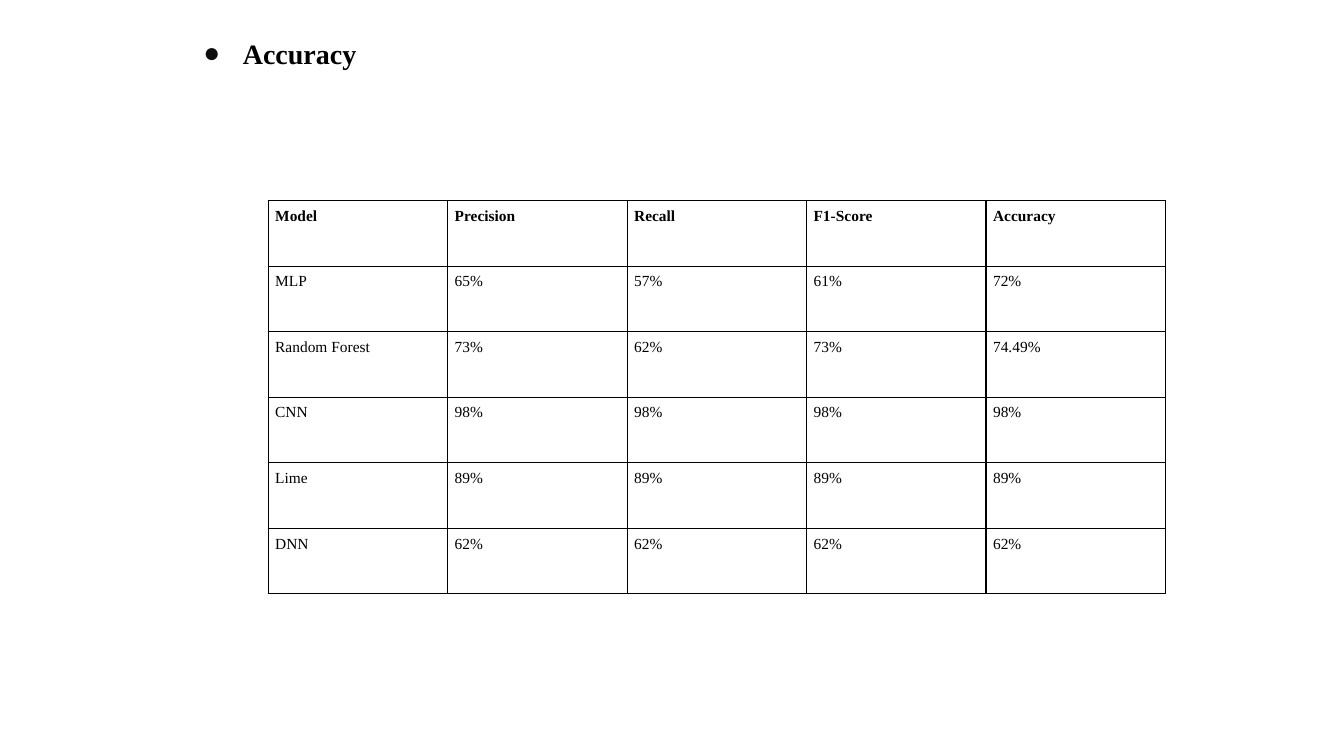
import pptx
import pptx.dml.color
import pptx.enum.text
import pptx.oxml
import pptx.oxml.ns
import pptx.util
from pptx.util import Inches

BLACK = pptx.dml.color.RGBColor(0x00, 0x00, 0x00)
BULLET = pptx.dml.color.RGBColor(0x0D, 0x0D, 0x0D)
FONT = "Times New Roman"
NAMESPACE = pptx.oxml.ns.nsdecls("a")

RESULTS = [
    ["Model", "Precision", "Recall", "F1-Score", "Accuracy"],
    ["MLP", "65%", "57%", "61%", "72%"],
    ["Random Forest", "73%", "62%", "73%", "74.49%"],
    ["CNN", "98%", "98%", "98%", "98%"],
    ["Lime", "89%", "89%", "89%", "89%"],
    ["DNN", "62%", "62%", "62%", "62%"],
]
COLUMN_WIDTH = Inches(1.78)
ROW_HEIGHT = Inches(0.65)


def add_text(para, text, size, bold):
    span = para.add_run()
    span.text = text
    span.font.name = FONT
    span.font.size = pptx.util.Pt(size)
    span.font.bold = bold
    span.font.color.rgb = BLACK


def set_margins(holder, margin):
    holder.margin_left = holder.margin_right = margin
    holder.margin_top = holder.margin_bottom = margin


deck = pptx.Presentation()
deck.slide_width = Inches(13.33)
deck.slide_height = Inches(7.5)
page = deck.slides.add_slide(deck.slide_layouts[6])

heading = page.shapes.add_textbox(Inches(1.81), Inches(0.21), Inches(5.17), Inches(0.54))
frame = heading.text_frame
frame.word_wrap = True
frame.auto_size = pptx.enum.text.MSO_AUTO_SIZE.SHAPE_TO_FIT_TEXT
set_margins(frame, Inches(0.1))
para = frame.paragraphs[0]
para.line_spacing = 1.15
properties = para._p.get_or_add_pPr()
properties.set("marL", str(Inches(0.5)))
properties.set("indent", str(Inches(-0.39)))
for markup in (
    f'<a:buClr {NAMESPACE}><a:srgbClr val="{BULLET}"/></a:buClr>',
    f'<a:buFont {NAMESPACE} typeface="{FONT}"/>',
    f'<a:buChar {NAMESPACE} char="●"/>',
):
    properties.append(pptx.oxml.parse_xml(markup))
add_text(para, "Accuracy", 20, True)

table = page.shapes.add_table(
    len(RESULTS), len(RESULTS[0]), Inches(2.66), Inches(1.99),
    COLUMN_WIDTH * len(RESULTS[0]), ROW_HEIGHT * len(RESULTS),
).table
table.horz_banding = False
for column in table.columns:
    column.width = COLUMN_WIDTH
for row in table.rows:
    row.height = ROW_HEIGHT

for row_index, values in enumerate(RESULTS):
    for column_index, value in enumerate(values):
        cell = table.cell(row_index, column_index)
        set_margins(cell, Inches(0.07))
        cell.fill.background()
        add_text(cell.text_frame.paragraphs[0], value, 11, row_index == 0)
        cell_properties = cell._tc.get_or_add_tcPr()
        for position, side in enumerate(("lnL", "lnR", "lnT", "lnB")):
            border = pptx.oxml.parse_xml(
                f'<a:{side} {NAMESPACE} w="{pptx.util.Pt(1)}"><a:solidFill>'
                f'<a:srgbClr val="{BLACK}"/></a:solidFill></a:{side}>'
            )
            cell_properties.insert(position, border)

deck.save("out.pptx")
